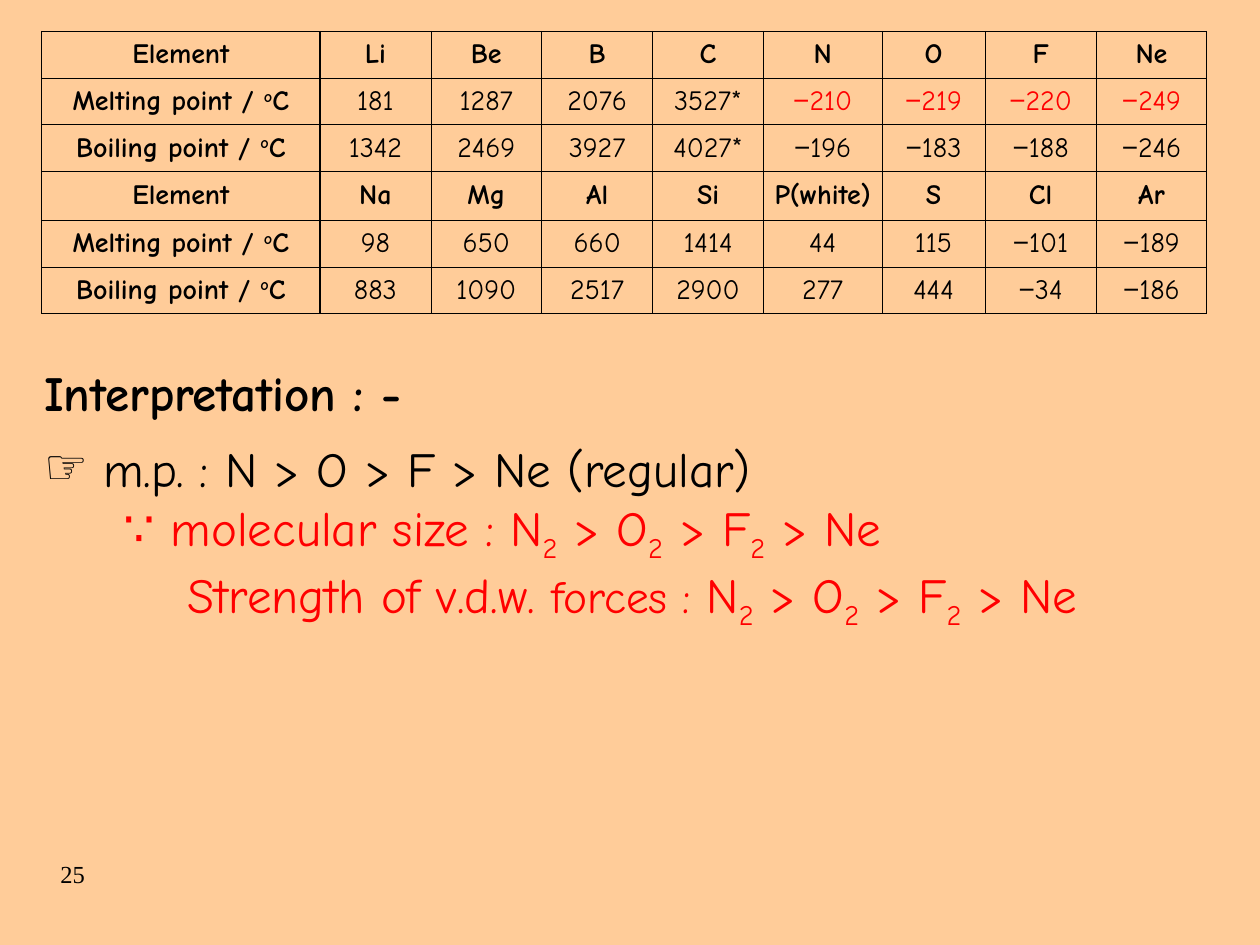
from pptx import Presentation
from pptx.dml.color import RGBColor
from pptx.enum.text import MSO_ANCHOR, MSO_AUTO_SIZE, PP_ALIGN
from pptx.oxml.ns import qn
from pptx.util import Inches, Pt
from lxml import etree

LEFT, CENTER = PP_ALIGN.LEFT, PP_ALIGN.CENTER
TOP, MIDDLE = MSO_ANCHOR.TOP, MSO_ANCHOR.MIDDLE
BLACK, RED, PEACH = "000000", "FF0000", "FFCC99"
COMIC = "Comic Neue"
THIN, THICK = 0.45, 0.75
COLUMNS = [2.21, 0.88, 0.88, 0.88, 0.88, 0.94, 0.82, 0.88, 0.88]
ROWS = [0.37, 0.37, 0.37, 0.39, 0.37, 0.37]
VALUES = [
    "Li Be B C N O F Ne",
    "181 1287 2076 3527* −210 −219 −220 −249",
    "1342 2469 3927 4027* −196 −183 −188 −246",
    "Na Mg Al Si P(white) S Cl Ar",
    "98 650 660 1414 44 115 −101 −189",
    "883 1090 2517 2900 277 444 −34 −186",
]
DEGREE = [("o", {"baseline": 30}), "C"]
LABELS = [["Element"], ["Melting point / ", *DEGREE], ["Boiling point / ", *DEGREE]]
SUB = ("2", {"baseline": -25})
MOLECULES = ["N", SUB, " > O", SUB, " > F", SUB, " > Ne"]


def rgb(value):
    return RGBColor.from_string(value)


def add_runs(p, pieces, **base):
    """Each piece is a string, or a string with the format that differs from base."""
    for piece in pieces:
        text, extra = (piece, {}) if isinstance(piece, str) else piece
        fmt = {"name": COMIC, "bold": False, "color": BLACK, **base, **extra}
        r = p.add_run()
        r.text = text
        r.font.color.rgb = rgb(fmt.pop("color"))
        fmt["size"] = Pt(fmt["size"])
        if "baseline" in fmt:
            r._r.get_or_add_rPr().set("baseline", str(fmt.pop("baseline") * 1000))
        for name, value in fmt.items():
            setattr(r.font, name, value)


def set_frame(shape, left, top, width, height):
    box = {"left": left, "top": top, "width": width, "height": height}
    for name, value in box.items():
        setattr(shape, name, Inches(value))
    tf = shape.text_frame
    frame = {"word_wrap": True, "auto_size": MSO_AUTO_SIZE.NONE, "vertical_anchor": TOP}
    for name, value in frame.items():
        setattr(tf, name, value)
    return tf


def set_paragraph(p, margin=0, bullet=None):
    p.alignment = LEFT
    p.space_before = Pt(0)
    pPr = p._p.get_or_add_pPr()
    pPr.set("marL", str(Inches(margin)))
    pPr.set("indent", str(-Inches(margin) if bullet else 0))
    if bullet:
        clr = etree.SubElement(pPr, qn("a:buClr"))
        etree.SubElement(clr, qn("a:srgbClr"), val=BLACK)
        etree.SubElement(pPr, qn("a:buChar"), char=bullet)
    else:
        etree.SubElement(pPr, qn("a:buNone"))


def set_borders(cell, row, col):
    """Thick lines frame each block of three rows and its label column."""
    thick = {
        "L": col < 2,
        "R": col in (0, len(COLUMNS) - 1),
        "T": row % 3 == 0,
        "B": row % 3 == 2,
    }
    tcPr = cell._tc.get_or_add_tcPr()
    for side, is_thick in thick.items():
        width = Pt(THICK if is_thick else THIN)
        ln = etree.SubElement(tcPr, qn(f"a:ln{side}"), w=str(width))
        fill = etree.SubElement(ln, qn("a:solidFill"))
        etree.SubElement(fill, qn("a:srgbClr"), val=BLACK)


def fill_cell(cell, row, col, pieces, **fmt):
    set_borders(cell, row, col)
    cell.fill.background()
    cell.vertical_anchor = MIDDLE
    cell.margin_left = cell.margin_right = Inches(0.02)
    p = cell.text_frame.paragraphs[0]
    p.alignment = CENTER
    add_runs(p, pieces, size=16, **fmt)


def add_points_table(s):
    frame = s.shapes.add_table(len(ROWS), len(COLUMNS), Inches(0.33), Inches(0.25),
                               Inches(sum(COLUMNS)), Inches(sum(ROWS)))
    table = frame.table
    table.first_row = table.horz_banding = False
    for column, width in zip(table.columns, COLUMNS):
        column.width = Inches(width)
    for i, line in enumerate(VALUES):
        table.rows[i].height = Inches(ROWS[i])
        fill_cell(table.cell(i, 0), i, 0, LABELS[i % 3], bold=True)
        for j, value in enumerate(line.split(), start=1):
            negative = value.startswith("−")
            pieces = [("−", {"name": "Arial"}), value[1:]] if negative else [value]
            fill_cell(table.cell(i, j), i, j, pieces, bold=i % 3 == 0,
                      color=RED if negative and i == 1 else BLACK)


def add_title(s):
    p = set_frame(s.shapes.title, 0.25, 2.83, 4.58, 0.57).paragraphs[0]
    set_paragraph(p)
    add_runs(p, ["Interpretation : -"], size=28, bold=True)


def add_reasons(s):
    tf = set_frame(s.placeholders[1], 0.25, 3.43, 9.75, 2.06)
    lines = [
        (0.47, "☞", BLACK, ["m.p. : N > O > F > Ne (regular)"]),
        (0.63, None, RED, ["∵ molecular size : ", *MOLECULES]),
        (1.14, None, RED, ["Strength of v.d.w. ", ("forces : ", {"size": 26}), *MOLECULES]),
    ]
    for i, (margin, bullet, color, pieces) in enumerate(lines):
        p = tf.add_paragraph() if i else tf.paragraphs[0]
        set_paragraph(p, margin, bullet)
        add_runs(p, pieces, size=28, color=color)


def add_page_number(s):
    tf = set_frame(s.shapes.add_textbox(0, 0, 0, 0), 0.38, 6.77, 1.42, 0.5)
    add_runs(tf.paragraphs[0], ["25"], size=14, name="Times New Roman")


def main():
    prs = Presentation()
    prs.slide_width, prs.slide_height = Inches(10), Inches(7.5)
    s = prs.slides.add_slide(prs.slide_layouts[1])
    s.background.fill.solid()
    s.background.fill.fore_color.rgb = rgb(PEACH)
    add_page_number(s)
    add_points_table(s)
    add_title(s)
    add_reasons(s)
    prs.save("out.pptx")


if __name__ == "__main__":
    main()
